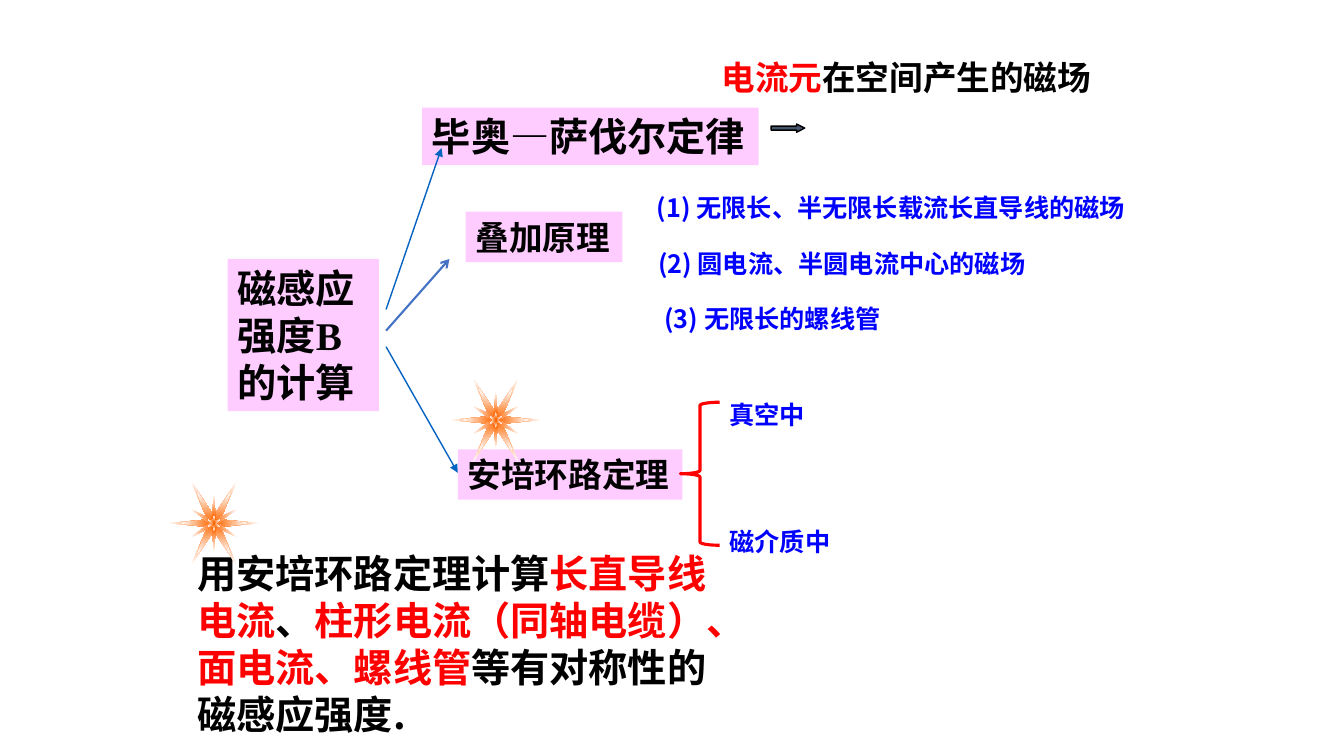
from pptx import Presentation
from pptx.dml.color import RGBColor
from pptx.enum.shapes import MSO_CONNECTOR as Link, MSO_SHAPE as Kind
from pptx.enum.text import MSO_ANCHOR as Anchor, MSO_AUTO_SIZE as Auto, PP_ALIGN as Align
from pptx.oxml.ns import qn
from pptx.util import Pt
from lxml.etree import SubElement as sub

BLACK = RGBColor(0x00, 0x00, 0x00)
WHITE = RGBColor(0xFF, 0xFF, 0xFF)
RED = RGBColor(0xFF, 0x00, 0x00)
BLUE = RGBColor(0x00, 0x00, 0xFF)
PINK = RGBColor(0xFF, 0xCC, 0xFF)
ORANGE = RGBColor(0xFF, 0x66, 0x00)
SLATE = RGBColor(0x44, 0x54, 0x6A)
AZURE = RGBColor(0x05, 0x63, 0xC1)
STEEL = RGBColor(0x44, 0x72, 0xC4)
SANS = "Noto Sans CJK SC"
SERIF = "Times New Roman"

# One quarter of each star layer, from the upper axis to the right axis
LAYERS = [
    [(0, 5.5), (16.2, 30), (4.7, 2.7), (32.7, 0)],
    [(0, 5.5), (11.8, 22), (4.7, 2.7), (23.8, 0)],
    [(0, 20.7), (1.5, 2.7), (16.9, 10.3), (2.8, 0)],
    [(0, 5.4), (0.8, 1.5), (4.4, 2.5), (1.5, 0)],
]


def write(frame, *parts, size=18, font=SANS, color=BLACK, wrap=True):
    """Fill a frame with one paragraph; a part is text or (text, colour)."""
    frame.word_wrap = wrap
    frame.auto_size = Auto.SHAPE_TO_FIT_TEXT
    frame.vertical_anchor = Anchor.TOP
    para = frame.paragraphs[0]
    para.alignment = Align.LEFT
    for part in parts:
        text, tone = part if isinstance(part, tuple) else (part, color)
        run = para.add_run()
        run.text = text
        run.font.size = Pt(size)
        run.font.bold = True
        run.font.name = font
        run.font.color.rgb = tone
        sub(run.font._element, qn("a:ea")).set("typeface", SANS)


class Board:
    def __init__(self, deck):
        self.slide = deck.slides.add_slide(deck.slide_layouts[6])
        self.shapes = self.slide.shapes

    def shape(self, kind, spot, fill=None, line=None, width=1):
        item = self.shapes.add_shape(kind, *map(Pt, spot))
        item.shadow.inherit = False
        if fill is None:
            item.fill.background()
        else:
            item.fill.solid()
            item.fill.fore_color.rgb = fill
        if line is None:
            item.line.fill.background()
        else:
            item.line.color.rgb = line
            item.line.width = Pt(width)
        return item

    def box(self, spot, text, **style):
        item = self.shape(Kind.RECTANGLE, spot, fill=PINK)
        write(item.text_frame, text, **style)

    def text(self, spot, *parts, **style):
        item = self.shapes.add_textbox(*map(Pt, spot))
        write(item.text_frame, *parts, **style)

    def arrow(self, start, end, color=AZURE, width=1, head="triangle"):
        item = self.shapes.add_connector(Link.STRAIGHT, *map(Pt, start + end))
        item.line.color.rgb = color
        item.line.width = Pt(width)
        sub(item.line._get_or_add_ln(), qn("a:tailEnd")).set("type", head)
        sub(item._element.spPr, qn("a:effectLst"))

    def star(self, left, top):
        group = self.shapes.add_group_shape()
        for layer in LAYERS:
            dots = []
            for right, down, step in ((1, -1, 1), (1, 1, -1), (-1, 1, 1), (-1, -1, -1)):
                for x, y in layer[::step][:-1]:
                    dots.append((Pt(left + right * x), Pt(top + down * y)))
            pen = group.shapes.build_freeform(*dots[0])
            pen.add_line_segments(dots[1:], close=True)
            item = pen.convert_to_shape()
            item.shadow.inherit = False
            item.line.fill.background()
            self.glow(item)

    def glow(self, item):
        item.fill.gradient()
        for stop, color in zip(item.fill.gradient_stops, (ORANGE, WHITE)):
            stop.color.rgb = color
        grad = item._element.spPr.find(qn("a:gradFill"))
        grad.remove(grad.find(qn("a:lin")))
        way = sub(grad, qn("a:path"))
        way.set("path", "rect")
        core = sub(way, qn("a:fillToRect"))
        for side in "ltrb":
            core.set(side, "50000")


def main():
    deck = Presentation()
    deck.slide_width, deck.slide_height = Pt(960), Pt(540)
    board = Board(deck)

    # Topic and its three laws
    board.box((162.7, 185, 108, 108.7), "磁感应强度B的计算", size=28, font=SERIF)
    board.box((301.5, 77, 240.5, 41), "毕奥—萨伐尔定律", size=28, wrap=False)
    board.box((327, 321, 160.5, 36), "安培环路定理", size=24, font=SERIF, wrap=False)
    board.box((332.6, 151.2, 112, 36), "叠加原理", size=24, font=SERIF, wrap=False)

    # Arrows
    board.arrow((275.8, 221), (315.4, 105.8))
    board.arrow((275.8, 247.7), (327, 337.7))
    board.arrow((275.8, 236.2), (321, 185), color=STEEL, width=1.5, head="arrow")
    block = board.shape(Kind.RIGHT_ARROW, (550.8, 88.6, 24, 5.8), SLATE, BLACK)
    block.adjustments[1] = 1

    # Fields of a current element
    board.text((508.3, 37.4, 281, 36), ("电流元", RED), "在空间产生的磁场",
               size=24, font=SERIF, wrap=False)
    board.text((462.2, 134, 369.4, 29), "(1) 无限长、半无限长载流长直导线的磁场", color=BLUE)
    board.text((463, 173.5, 294.5, 29), "(2) 圆电流、半圆电流中心的磁场", color=BLUE)
    board.text((467.5, 213.1, 181.4, 29), "(3) 无限长的螺线管", color=BLUE)

    # Cases of the loop law
    brace = board.shape(Kind.LEFT_BRACE, (486, 287.3, 28, 102.2), line=RED, width=2.25)
    brace.adjustments[0] = 0.083
    board.text((514, 281.5, 69, 29), "真空中", color=BLUE, wrap=False)
    board.text((514, 372.2, 88, 29), "磁介质中", color=BLUE, wrap=False)

    # Summary
    board.text((133.9, 388.8, 385.2, 143.3), "用安培环路定理计算", ("长直导线电流", RED),
               "、", ("柱形电流（同轴电缆）、面电流、螺线管", RED),
               "等有对称性的磁感应强度.", size=28)

    # Stars
    for spot in ((354.1, 300), (152.8, 373.7)):
        board.star(*spot)

    deck.save("out.pptx")


if __name__ == "__main__":
    main()
